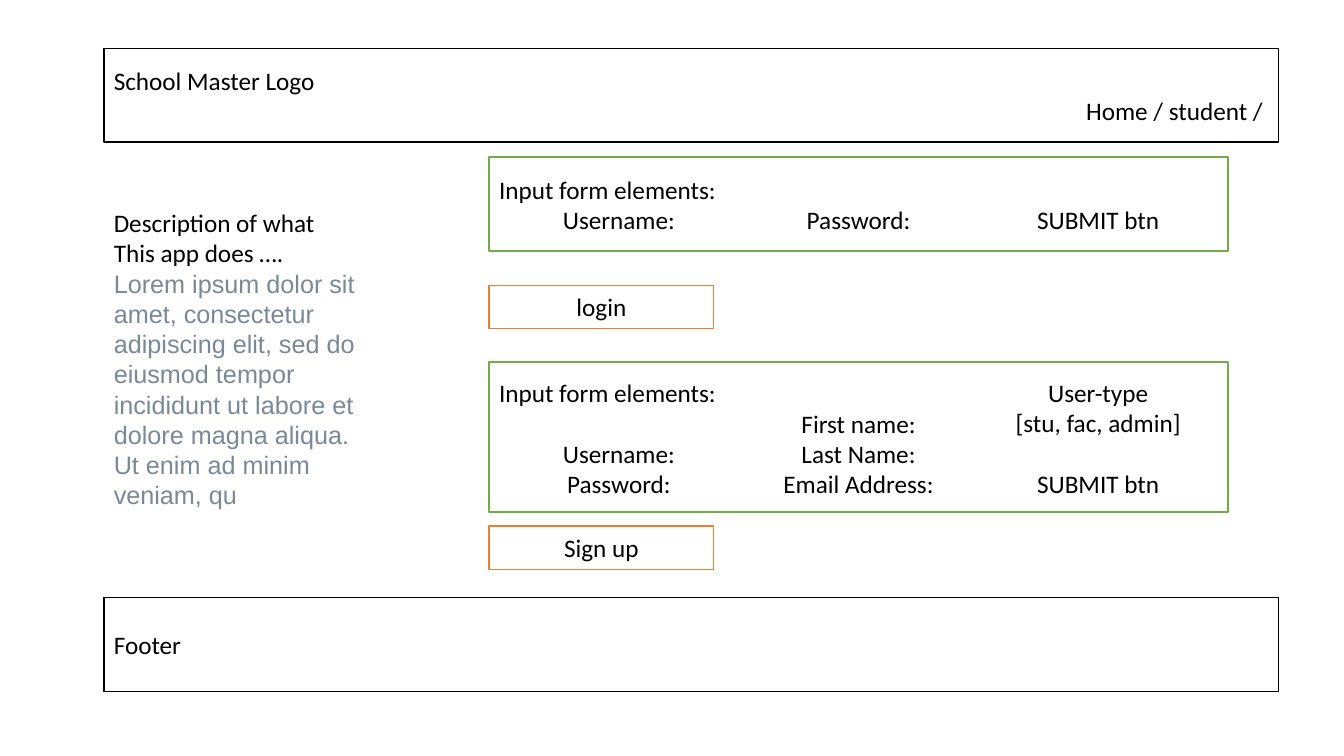
from pptx import Presentation
from pptx.dml.color import RGBColor
from pptx.enum.shapes import MSO_SHAPE
from pptx.enum.text import MSO_ANCHOR, PP_ALIGN
from pptx.util import Inches, Pt

RECT = MSO_SHAPE.RECTANGLE
TOP, MIDDLE, BOTTOM = MSO_ANCHOR.TOP, MSO_ANCHOR.MIDDLE, MSO_ANCHOR.BOTTOM
LEFT, CENTER, RIGHT = PP_ALIGN.LEFT, PP_ALIGN.CENTER, PP_ALIGN.RIGHT

BLACK, WHITE, GREEN, ORANGE, GREY = "000000", "FFFFFF", "70AD47", "ED7D31", "7B8898"
SLIDE_W, SLIDE_H = 13.33, 7.5
PAGE_X, PAGE_W, BAND_H = 1.03, 11.65, 0.93
FORM_X, FORM_W = 4.85, 7.33
BUTTON_W, BUTTON_H = 2.23, 0.43
INSET = 0.1
ROW_PT = 22
ROW_H = ROW_PT / 72

LOREM = ("Lorem ipsum dolor sit amet, consectetur adipiscing elit, sed do eiusmod "
         "tempor incididunt ut labore et dolore magna aliqua. Ut enim ad minim veniam, qu")


def rgb(value):
    """Turn a hex string into a colour."""
    return RGBColor.from_string(value)


def add_line(tf, text, align=LEFT, font="Calibri", color=BLACK, skip=0):
    """Add one paragraph, leaving a number of rows free above it."""
    p = tf.paragraphs[0] if not tf.text else tf.add_paragraph()
    p.alignment = align
    p.space_before = Pt(skip * ROW_PT)
    r = p.add_run()
    r.text = text
    r.font.size = Pt(18)
    r.font.name = font
    r.font.color.rgb = rgb(color)


def add_frame(slide, box, color):
    """Draw an outlined white rectangle and return its text frame."""
    sp = slide.shapes.add_shape(RECT, *map(Inches, box))
    sp.shadow.inherit = False
    sp.fill.solid()
    sp.fill.fore_color.rgb = rgb(WHITE)
    sp.line.color.rgb = rgb(color)
    sp.line.width = Pt(1)
    tf = sp.text_frame
    tf.word_wrap = True
    tf.vertical_anchor = MIDDLE
    return tf


def add_text_box(slide, box, anchor=TOP):
    """Add a wrapping text box and return its text frame."""
    tf = slide.shapes.add_textbox(*map(Inches, box)).text_frame
    tf.word_wrap = True
    tf.vertical_anchor = anchor
    return tf


def add_band(slide, y, lines):
    """Draw a full-width page band holding (text, alignment) lines."""
    tf = add_frame(slide, (PAGE_X, y, PAGE_W, BAND_H), BLACK)
    for text, align in lines:
        add_line(tf, text, align)


def add_button(slide, y, label):
    """Draw a button below a form."""
    tf = add_frame(slide, (FORM_X, y, BUTTON_W, BUTTON_H), ORANGE)
    add_line(tf, label, CENTER)


def add_form(slide, y, h, rows, columns):
    """Draw a form whose equal columns end on the same bottom row."""
    add_frame(slide, (FORM_X, y, FORM_W, h), GREEN)
    col_w = (FORM_W - 2 * INSET) / len(columns)
    col_h = rows * ROW_H
    for i, lines in enumerate(columns):
        box = (FORM_X + INSET + i * col_w, y + (h - col_h) / 2, col_w, col_h)
        tf = add_text_box(slide, box, BOTTOM)
        tf.margin_left = tf.margin_right = tf.margin_top = tf.margin_bottom = 0
        for text, align, skip in lines:
            add_line(tf, text, align, skip=skip)


def add_description(slide, box):
    """Write the description of the app."""
    tf = add_text_box(slide, box)
    add_line(tf, "Description of what")
    add_line(tf, "This app does ….")
    add_line(tf, LOREM, font="Arial", color=GREY)


def main():
    """Build the wireframe slide."""
    prs = Presentation()
    prs.slide_width, prs.slide_height = Inches(SLIDE_W), Inches(SLIDE_H)
    slide = prs.slides.add_slide(prs.slide_layouts[6])
    heading = ("Input form elements:", LEFT, 0)
    submit = "SUBMIT btn"

    add_band(slide, 0.48, [("School Master Logo", LEFT), ("Home / student / ", RIGHT)])
    add_description(slide, (PAGE_X, 2.01, 2.69, 3.43))
    add_form(slide, 1.56, 0.93, 2, [
        [heading, ("Username:", CENTER, 0)],
        [("Password:", CENTER, 0)],
        [(submit, CENTER, 0)],
    ])
    add_button(slide, 2.83, "login")
    add_form(slide, 3.59, 1.49, 4, [
        [heading, ("Username:", CENTER, 1), ("Password:", CENTER, 0)],
        [(text, CENTER, 0) for text in ("First name:", "Last Name:", "Email Address:")],
        [("User-type", CENTER, 0), ("[stu, fac, admin]", CENTER, 0), (submit, CENTER, 1)],
    ])
    add_button(slide, 5.22, "Sign up")
    add_band(slide, 5.93, [("Footer", LEFT)])
    prs.save("out.pptx")


if __name__ == "__main__":
    main()
